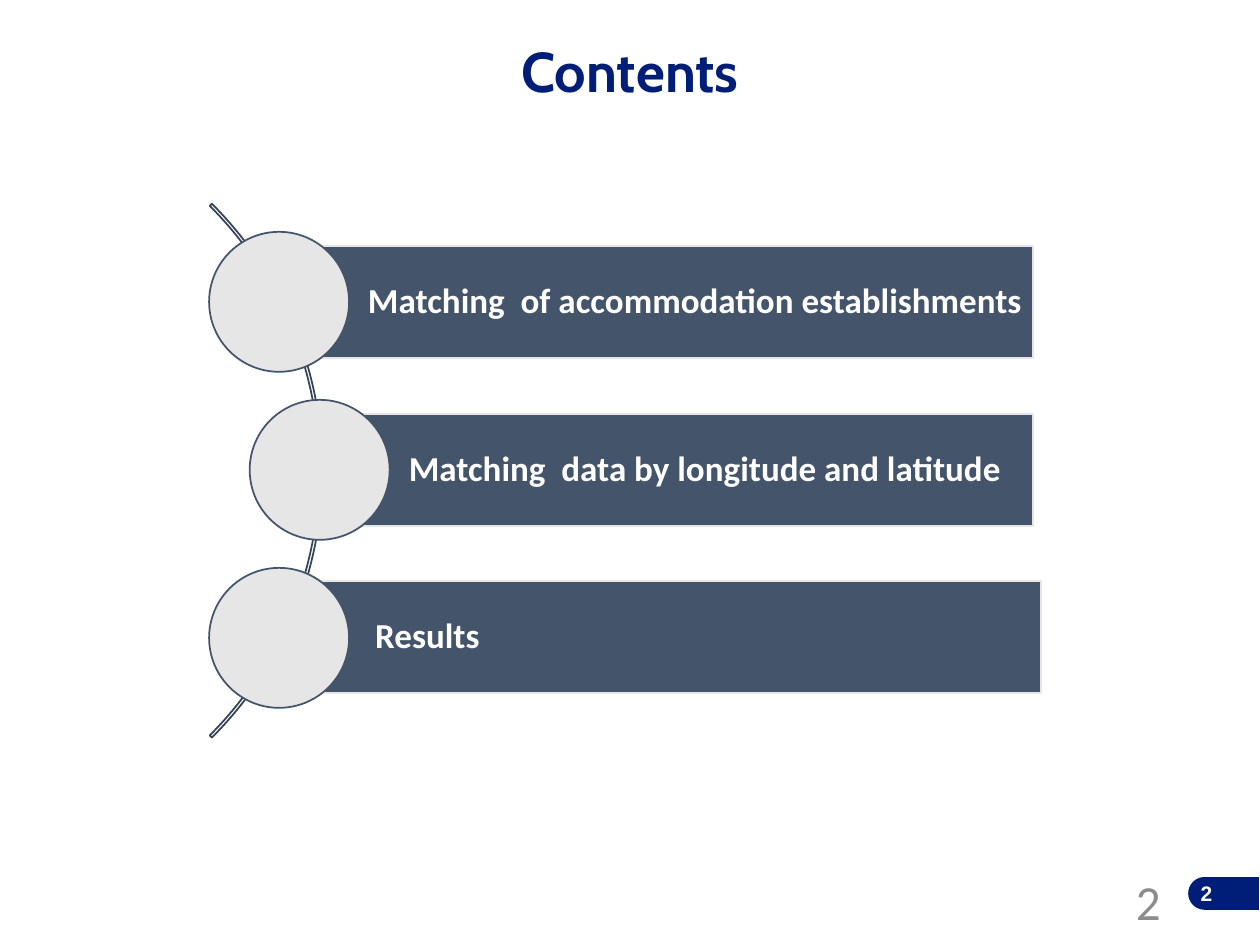
from dataclasses import dataclass
from math import cos, pi, sin

from pptx import Presentation
from pptx.dml.color import RGBColor
from pptx.enum.shapes import MSO_SHAPE
from pptx.enum.text import MSO_ANCHOR, MSO_AUTO_SIZE, PP_ALIGN
from pptx.util import Pt

NAVY = RGBColor(0x00, 0x1D, 0x77)
SLATE = RGBColor(0x44, 0x54, 0x6A)
DARK = RGBColor(0x36, 0x43, 0x55)
PALE = RGBColor(0xE7, 0xE6, 0xE6)
GRAY = RGBColor(0x8C, 0x8C, 0x8C)
WHITE = RGBColor(0xFF, 0xFF, 0xFF)

STEP = 96  # distance between rows
DOT = 80  # circle diameter
BAR = 64  # bar height


@dataclass
class Row:
    text: str
    dot: float  # left of the circle
    left: float
    top: float
    right: float


@dataclass
class Label:
    text: str
    left: float
    top: float
    size: float
    face: str
    color: RGBColor
    bold: bool


ROWS = [
    Row("Matching  of accommodation establishments", 119.5, 159.3, 140.5, 590.4),
    Row("Matching  data by longitude and latitude", 142.7, 182.6, 236.5, 590.4),
    Row("Results", 119.5, 163.4, 332, 594.7),
]
LABELS = [
    Label("2", 537.8, 496.1, 12, "Arial", WHITE, True),
    Label("2", 508.3, 500.4, 28, "Calibri", GRAY, False),
]


def style(para, size: float, face: str, color: RGBColor, bold: bool) -> None:
    font = para.font
    font.size, font.name, font.bold = Pt(size), face, bold
    font.color.rgb = color


def add_form(slide, kind, left: float, top: float, width: float, height: float,
             fill: RGBColor | None, line: RGBColor):
    form = slide.shapes.add_shape(kind, Pt(left), Pt(top), Pt(width), Pt(height))
    form.shadow.inherit = False
    if fill is None:
        form.fill.background()
    else:
        form.fill.solid()
        form.fill.fore_color.rgb = fill
    form.line.color.rgb = line
    form.line.width = Pt(1)
    return form


def add_row(slide, row: Row, index: int) -> None:
    bar = add_form(slide, MSO_SHAPE.RECTANGLE, row.left, row.top,
                   row.right - row.left, BAR, SLATE, PALE)
    frame = bar.text_frame
    frame.word_wrap = True
    frame.vertical_anchor = MSO_ANCHOR.MIDDLE
    frame.margin_left = Pt(51)
    frame.margin_top = frame.margin_right = frame.margin_bottom = Pt(4)
    para = frame.paragraphs[0]
    para.text = row.text
    para.alignment = PP_ALIGN.LEFT
    para.line_spacing = 0.9
    style(para, 20, "Calibri", WHITE, True)
    add_form(slide, MSO_SHAPE.OVAL, row.dot, 132.5 + index * STEP,
             DOT, DOT, PALE, SLATE)


def add_label(slide, label: Label) -> None:
    box = slide.shapes.add_textbox(Pt(label.left), Pt(label.top), Pt(162), Pt(28.8))
    frame = box.text_frame
    frame.word_wrap = True
    frame.vertical_anchor = MSO_ANCHOR.MIDDLE
    para = frame.paragraphs[0]
    para.text = label.text
    para.alignment = PP_ALIGN.RIGHT
    style(para, label.size, label.face, label.color, label.bold)


def add_tab(slide, left: float, top: float, right: float, height: float) -> None:
    """Draw a tab with a round left end."""
    rad, count = height / 2, 24
    turns = [pi / 2 + pi * i / count for i in range(count + 1)]
    curve = [(left + rad + rad * cos(t), top + rad - rad * sin(t)) for t in turns]
    points = [(Pt(x), Pt(y)) for x, y in curve + [(right, top + height)]]
    pen = slide.shapes.build_freeform(Pt(right), Pt(top))
    pen.add_line_segments(points, close=True)
    tab = pen.convert_to_shape()
    tab.shadow.inherit = False
    tab.fill.solid()
    tab.fill.fore_color.rgb = NAVY
    tab.line.fill.background()


def add_title(slide, text: str) -> None:
    title = slide.shapes.title
    title.left, title.top = Pt(21.6), Pt(17.3)
    title.width, title.height = Pt(676.8), Pt(46)
    frame = title.text_frame
    frame.word_wrap = True
    frame.auto_size = MSO_AUTO_SIZE.SHAPE_TO_FIT_TEXT
    frame.vertical_anchor = MSO_ANCHOR.TOP
    para = frame.paragraphs[0]
    para.text = text
    para.alignment = PP_ALIGN.CENTER
    style(para, 32, "Cabin", NAVY, True)


def main() -> None:
    deck = Presentation()
    deck.slide_width, deck.slide_height = Pt(720), Pt(540)
    slide = deck.slides.add_slide(deck.slide_layouts[5])
    add_title(slide, "Contents")

    # Arc behind the rows: start angle, end angle, thickness
    arc = add_form(slide, MSO_SHAPE.BLOCK_ARC, -247, 53.3, 431.3, 431.3, None, DARK)
    for i, value in enumerate((189, 27, 4 / 1000)):
        arc.adjustments[i] = value

    # Bars with circles
    for i, row in enumerate(ROWS):
        add_row(slide, row, i)

    # Page numbers
    add_tab(slide, 679, 501.2, 719.3, 18.7)
    for label in LABELS:
        add_label(slide, label)
    deck.save("out.pptx")


if __name__ == "__main__":
    main()
